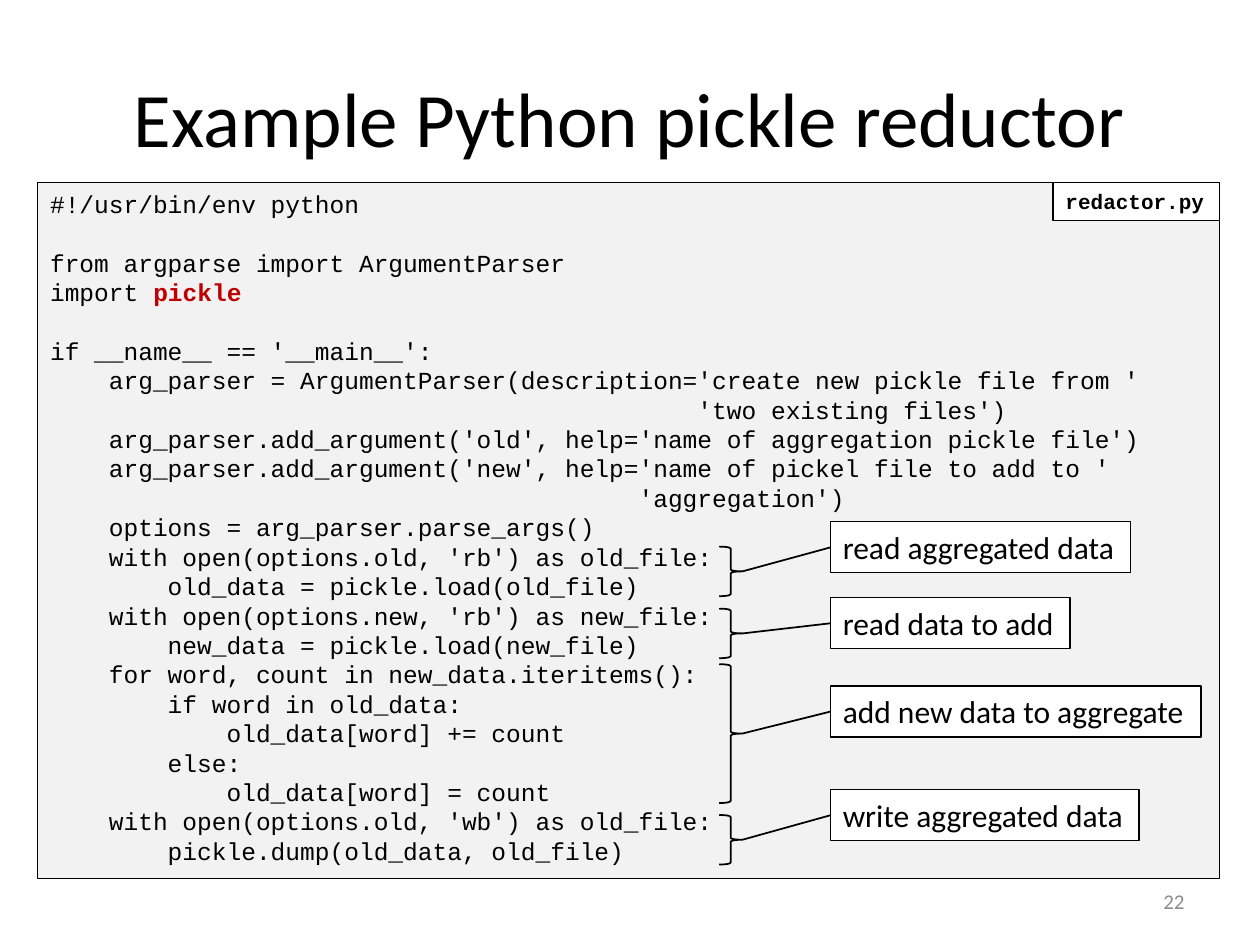
from dataclasses import dataclass

from lxml.etree import SubElement
from pptx import Presentation
from pptx.dml.color import RGBColor
from pptx.enum.shapes import MSO_CONNECTOR, MSO_SHAPE
from pptx.enum.text import MSO_ANCHOR as Anchor, MSO_AUTO_SIZE as AutoSize, PP_ALIGN as Align
from pptx.oxml.ns import qn
from pptx.shapes.autoshape import Shape
from pptx.slide import Slide
from pptx.util import Cm, Pt


@dataclass(frozen=True)
class Theme:
    body_font: str = "Calibri"
    code_font: str = "Courier New"
    title_size: int = 44
    label_size: int = 18
    code_size: int = 14
    small_size: int = 12
    box_line: float = 0.75
    brace_line: float = 1
    black: RGBColor = RGBColor(0x00, 0x00, 0x00)
    white: RGBColor = RGBColor(0xFF, 0xFF, 0xFF)
    panel: RGBColor = RGBColor(0xF2, 0xF2, 0xF2)
    keyword: RGBColor = RGBColor(0xC0, 0x00, 0x00)
    muted: RGBColor = RGBColor(0x8C, 0x8C, 0x8C)


@dataclass(frozen=True)
class Box:
    """Position and size in centimetres."""
    left: float
    top: float
    width: float
    height: float

    def lengths(self) -> tuple[Cm, Cm, Cm, Cm]:
        return Cm(self.left), Cm(self.top), Cm(self.width), Cm(self.height)


@dataclass(frozen=True)
class Note:
    """A label tied to a brace beside the code."""
    text: str
    label_top: float
    label_width: float
    brace_top: float
    brace_height: float


THEME = Theme()
BRACE_LEFT, BRACE_WIDTH = 14.5, 0.46
LABEL_LEFT, LABEL_HEIGHT = 16.74, 1.03
HIGHLIGHT_LINE, HIGHLIGHT = "import pickle", "pickle"

CODE_LINES = [
    "#!/usr/bin/env python",
    "",
    "from argparse import ArgumentParser",
    "import pickle",
    "",
    "if __name__ == '__main__':",
    "    arg_parser = ArgumentParser(description='create new pickle file from '",
    "                                            'two existing files')",
    "    arg_parser.add_argument('old', help='name of aggregation pickle file')",
    "    arg_parser.add_argument('new', help='name of pickel file to add to '",
    "                                        'aggregation')",
    "    options = arg_parser.parse_args()",
    "    with open(options.old, 'rb') as old_file:",
    "        old_data = pickle.load(old_file)",
    "    with open(options.new, 'rb') as new_file:",
    "        new_data = pickle.load(new_file)",
    "    for word, count in new_data.iteritems():",
    "        if word in old_data:",
    "            old_data[word] += count",
    "        else:",
    "            old_data[word] = count",
    "    with open(options.old, 'wb') as old_file:",
    "        pickle.dump(old_data, old_file)",
]

NOTES = [
    Note("read aggregated data", 10.52, 6.05, 11.02, 1),
    Note("read data to add", 12.05, 4.83, 12.27, 1),
    Note("add new data to aggregate", 13.83, 7.47, 13.39, 2.8),
    Note("write aggregated data", 15.92, 6.22, 16.43, 1),
]


def style(paragraph, font_name: str, size: float, color: RGBColor, bold: bool = False) -> None:
    font = paragraph.font
    font.name, font.size, font.bold = font_name, Pt(size), bold
    font.color.rgb = color


def add_text(slide: Slide, box: Box, text: str, size: float, color: RGBColor, align: Align) -> None:
    frame = slide.shapes.add_textbox(*box.lengths()).text_frame
    frame.word_wrap = True
    frame.vertical_anchor = Anchor.MIDDLE
    paragraph = frame.paragraphs[0]
    paragraph.text, paragraph.alignment = text, align
    style(paragraph, THEME.body_font, size, color)


def add_panel(slide: Slide, box: Box, fill: RGBColor, wrap: bool) -> Shape:
    shape = slide.shapes.add_shape(MSO_SHAPE.RECTANGLE, *box.lengths())
    shape.shadow.inherit = False
    shape.fill.solid()
    shape.fill.fore_color.rgb = fill
    shape.line.color.rgb = THEME.black
    shape.line.width = Pt(THEME.box_line)
    frame = shape.text_frame
    frame.word_wrap = wrap
    frame.auto_size = AutoSize.SHAPE_TO_FIT_TEXT
    frame.vertical_anchor = Anchor.TOP
    return shape


def add_label(slide: Slide, box: Box, text: str, font_name: str, size: float,
              bold: bool = False) -> Shape:
    shape = add_panel(slide, box, THEME.white, wrap=False)
    paragraph = shape.text_frame.paragraphs[0]
    paragraph.text, paragraph.alignment = text, Align.LEFT
    style(paragraph, font_name, size, THEME.black, bold)
    return shape


def add_code(slide: Slide, box: Box, lines: list[str]) -> None:
    frame = add_panel(slide, box, THEME.panel, wrap=True).text_frame
    for index, line in enumerate(lines):
        paragraph = frame.add_paragraph() if index else frame.paragraphs[0]
        paragraph.alignment = Align.LEFT
        style(paragraph, THEME.code_font, THEME.code_size, THEME.black)
        if line == HIGHLIGHT_LINE:
            paragraph.add_run().text = line.removesuffix(HIGHLIGHT)
            run = paragraph.add_run()
            run.text, run.font.bold = HIGHLIGHT, True
            run.font.color.rgb = THEME.keyword
        elif line:
            paragraph.add_run().text = line
        else:  # an empty code line keeps the height of the others
            end = SubElement(paragraph._p, qn("a:endParaRPr"), sz=str(THEME.code_size * 100))
            SubElement(end, qn("a:latin"), typeface=THEME.code_font)


def add_note(slide: Slide, note: Note) -> None:
    brace_box = Box(BRACE_LEFT, note.brace_top, BRACE_WIDTH, note.brace_height)
    brace = slide.shapes.add_shape(MSO_SHAPE.RIGHT_BRACE, *brace_box.lengths())
    brace.shadow.inherit = False
    brace.fill.background()
    label_box = Box(LABEL_LEFT, note.label_top, note.label_width, LABEL_HEIGHT)
    label = add_label(slide, label_box, note.text, THEME.body_font, THEME.label_size)

    # From the label's left side to the tip of the brace
    connector = slide.shapes.add_connector(
        MSO_CONNECTOR.STRAIGHT, label.left, label.top + label.height // 2,
        brace.left + brace.width, brace.top + brace.height // 2)
    connector.begin_connect(label, 1)
    SubElement(connector._element.spPr, qn("a:effectLst"))
    for shape in (brace, connector):
        shape.line.color.rgb = THEME.black
        shape.line.width = Pt(THEME.brace_line)


def main() -> None:
    presentation = Presentation()
    presentation.slide_width, presentation.slide_height = Cm(25.4), Cm(19.05)
    slide = presentation.slides.add_slide(presentation.slide_layouts[6])

    # Title and slide number
    add_text(slide, Box(1.27, 0.76, 22.86, 3.18), "Example Python pickle reductor",
             THEME.title_size, THEME.black, Align.CENTER)
    add_text(slide, Box(18.2, 17.66, 5.93, 1.01), "22",
             THEME.small_size, THEME.muted, Align.RIGHT)

    # Code listing with its file name in the top right corner
    add_code(slide, Box(0.76, 3.68, 23.83, 14.03), CODE_LINES)
    add_label(slide, Box(21.23, 3.68, 3.36, 0.77), "redactor.py",
              THEME.code_font, THEME.small_size, bold=True)

    # Explanations beside the code
    for note in NOTES:
        add_note(slide, note)

    presentation.save("out.pptx")


if __name__ == "__main__":
    main()
